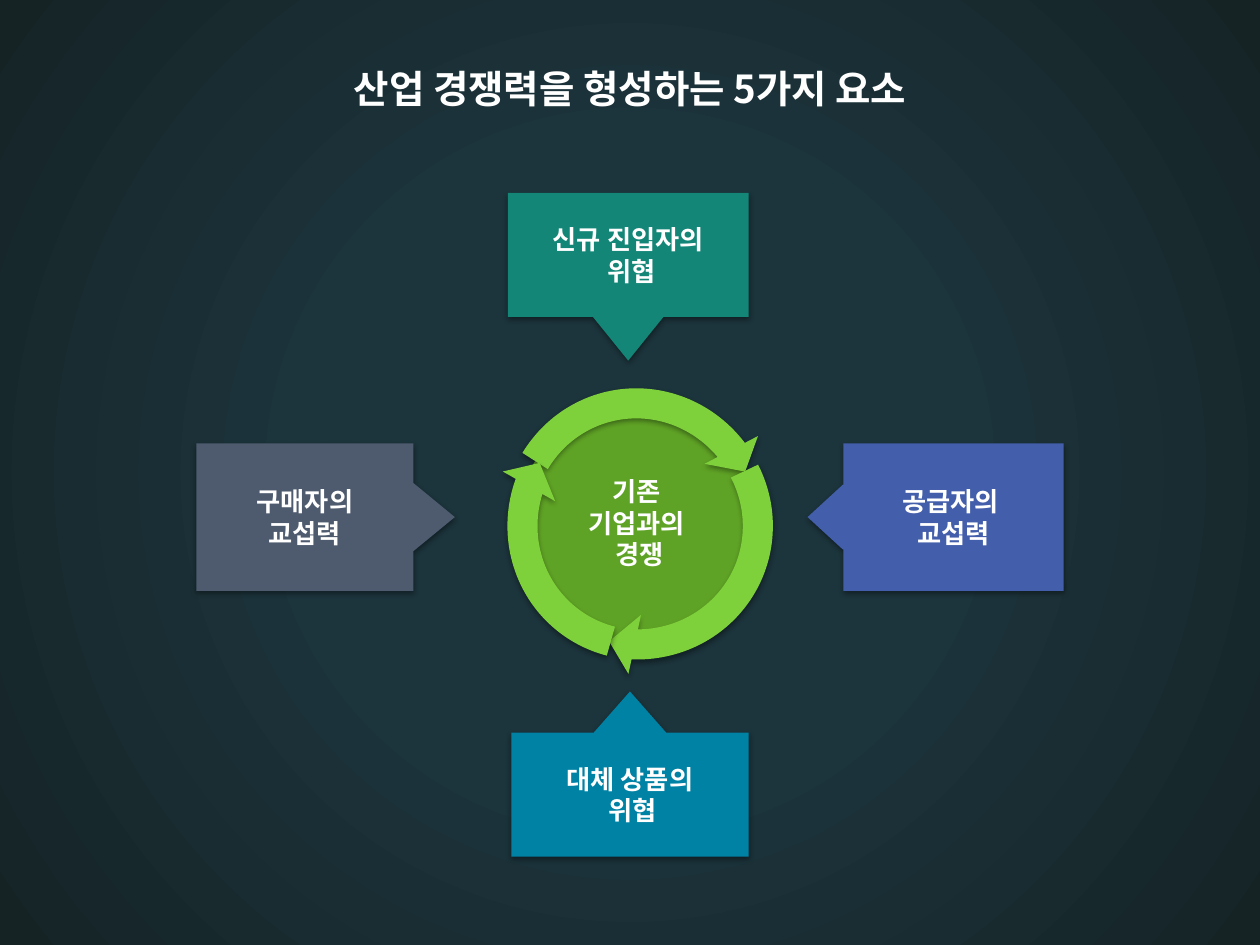
from dataclasses import dataclass

from lxml import etree
from pptx import Presentation
from pptx.dml.color import RGBColor
from pptx.enum.shapes import MSO_SHAPE
from pptx.enum.text import MSO_ANCHOR, MSO_AUTO_SIZE, PP_ALIGN
from pptx.oxml import parse_xml
from pptx.oxml.ns import nsdecls, qn
from pptx.util import Cm, Pt

FONT = "Noto Sans CJK KR"
WHITE = RGBColor(0xFF, 0xFF, 0xFF)
GREEN = RGBColor(0x5F, 0xA3, 0x26)
LIME = RGBColor(0x7F, 0xD1, 0x3B)
SLATE = RGBColor(0x4E, 0x5B, 0x6F)
TEAL = RGBColor(0x13, 0x86, 0x77)
INDIGO = RGBColor(0x43, 0x5E, 0xAA)
BLUE = RGBColor(0x00, 0x82, 0xA5)
BACK_CENTER = RGBColor(0x1C, 0x34, 0x3C)
BACK_EDGE = RGBColor(0x15, 0x23, 0x25)


@dataclass
class Block:
    """A filled shape; position in cm, one list of lines per paragraph."""
    kind: MSO_SHAPE
    left: float
    top: float
    width: float
    height: float
    color: RGBColor
    adjustments: tuple[float, ...] = ()
    paragraphs: tuple[list[str], ...] = ()
    rotation: float = 0


def cycle_arrow(left: float, top: float, rotation: float, start: float) -> Block:
    return Block(MSO_SHAPE.CIRCULAR_ARROW, left, top, 6.07, 6.22, LIME,
                 (0.1, 7.35, 201.18, start, 0.1), rotation=rotation)


CENTER = Block(MSO_SHAPE.OVAL, 10.44, 8.15, 4.78, 4.78, GREEN,
               paragraphs=(["기존"], ["기업과의", " 경쟁"]))

FORCES = [
    Block(MSO_SHAPE.RIGHT_ARROW_CALLOUT, 3.96, 8.94, 5.21, 2.97, SLATE,
          (0.46, 0.23, 0.28, 0.84), (["구매자의", "교섭력"],)),
    Block(MSO_SHAPE.DOWN_ARROW_CALLOUT, 10.24, 3.89, 4.85, 3.38, TEAL,
          (0.42, 0.21, 0.26, 0.74), (["신규 진입자의", " 위협"],)),
    Block(MSO_SHAPE.LEFT_ARROW_CALLOUT, 16.28, 8.94, 5.16, 2.97, INDIGO,
          (0.44, 0.22, 0.24, 0.86), (["공급자의 ", "교섭력"],)),
    Block(MSO_SHAPE.UP_ARROW_CALLOUT, 10.31, 13.94, 4.78, 3.33, BLUE,
          (0.5, 0.22, 0.25, 0.75), (["대체 상품의", " 위협"],)),
]

CYCLE = [
    cycle_arrow(9.83, 7.52, 345, 136.65),
    cycle_arrow(9.75, 7.44, 114.5, 132.09),
    cycle_arrow(9.96, 7.42, 222, 146.31),
]


def paint_background(page) -> None:
    fill = page.background.fill
    fill.gradient()
    stops = zip(fill.gradient_stops, (0.41, 1), (BACK_CENTER, BACK_EDGE))
    for stop, position, color in stops:
        stop.position = position
        stop.color.rgb = color
    # Turn the linear gradient into a circular one
    linear = page.background._cSld.find(".//" + qn("a:lin"))
    circle = parse_xml(
        f'<a:path {nsdecls("a")} path="circle">'
        '<a:fillToRect l="50000" t="50000" r="50000" b="50000"/></a:path>')
    linear.getparent().replace(linear, circle)


def add_shadow(shape) -> None:
    shape.shadow.inherit = False
    effects = shape._element.spPr.find(qn("a:effectLst"))
    effects.append(parse_xml(
        f'<a:outerShdw {nsdecls("a")} blurRad="40000" dist="20000" '
        'dir="5400000" rotWithShape="0">'
        '<a:srgbClr val="000000"><a:alpha val="38000"/></a:srgbClr>'
        '</a:outerShdw>'))


def write_text(frame, paragraphs: tuple[list[str], ...], size: float) -> None:
    frame.word_wrap = True
    for index, lines in enumerate(paragraphs):
        para = frame.add_paragraph() if index else frame.paragraphs[0]
        para.alignment = PP_ALIGN.CENTER
        for number, line in enumerate(lines):
            if number:
                para.add_line_break()
            span = para.add_run()
            span.text = line
            font = span.font
            font.size = Pt(size)
            font.bold = True
            font.color.rgb = WHITE
            font.name = FONT
            east_asian = etree.SubElement(font._element, qn("a:ea"))
            east_asian.set("typeface", FONT)


def draw_block(page, block: Block) -> None:
    shape = page.shapes.add_shape(block.kind, Cm(block.left), Cm(block.top),
                                  Cm(block.width), Cm(block.height))
    for index, value in enumerate(block.adjustments):
        shape.adjustments[index] = value
    shape.rotation = block.rotation
    shape.fill.solid()
    shape.fill.fore_color.rgb = block.color
    shape.line.fill.background()
    add_shadow(shape)
    shape.text_frame.vertical_anchor = MSO_ANCHOR.MIDDLE
    write_text(shape.text_frame, block.paragraphs, 15)


def draw_title(page) -> None:
    box = page.shapes.add_textbox(Cm(6.15), Cm(1.19), Cm(13.28), Cm(1.19))
    write_text(box.text_frame, (["산업 경쟁력을 형성하는 5가지 요소 "],), 22)
    box.text_frame.auto_size = MSO_AUTO_SIZE.SHAPE_TO_FIT_TEXT


def main() -> None:
    deck = Presentation()
    deck.slide_width, deck.slide_height = Cm(25.4), Cm(19.05)
    page = deck.slides.add_slide(deck.slide_layouts[6])
    paint_background(page)
    # Centre first, so that the cycle arrows lie over it
    for block in [CENTER, *FORCES, *CYCLE]:
        draw_block(page, block)
    draw_title(page)
    deck.save("out.pptx")


if __name__ == "__main__":
    main()
